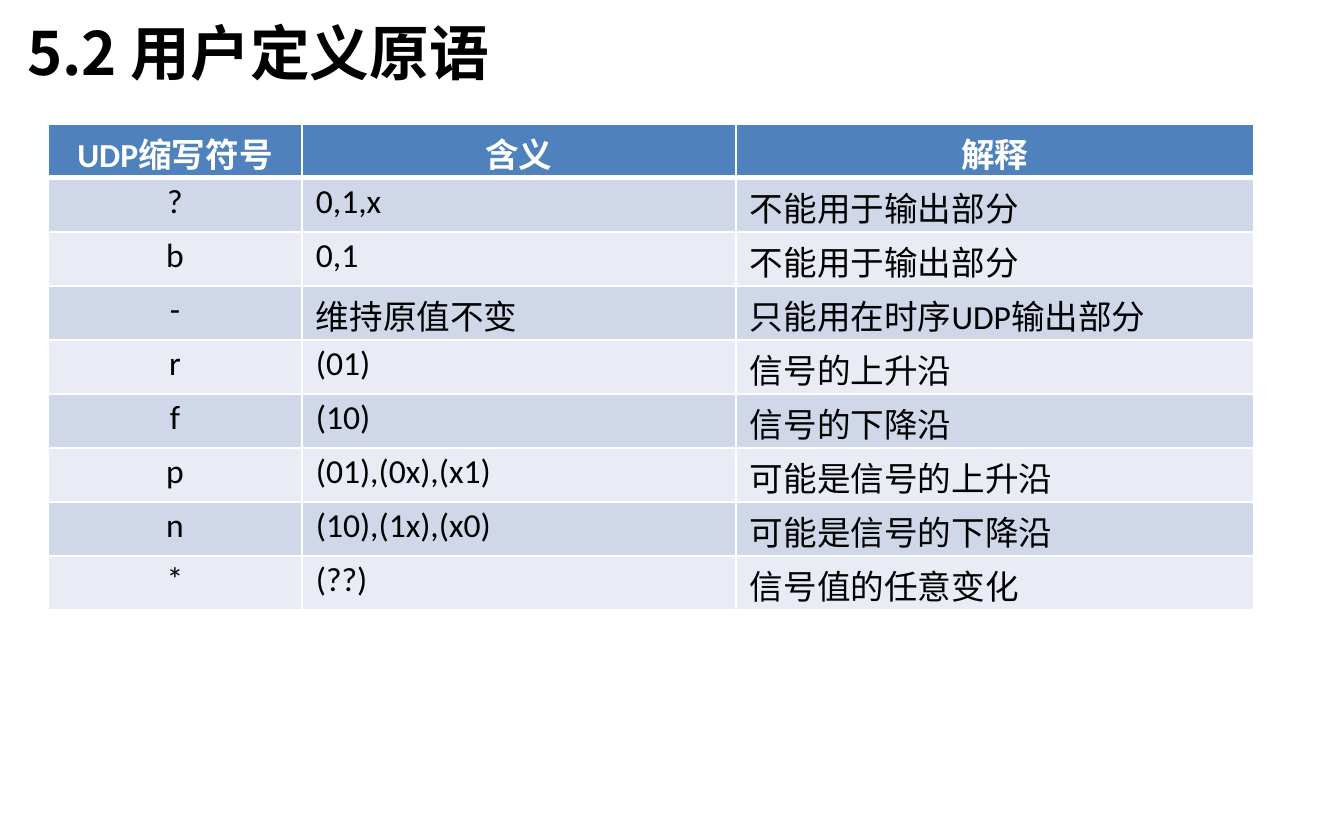
from itertools import groupby
from lxml.etree import SubElement as Sub
from pptx import Presentation
from pptx.dml.color import RGBColor
from pptx.enum.text import MSO_ANCHOR as Anchor, MSO_AUTO_SIZE as Fit, PP_ALIGN as Align
from pptx.oxml import parse_xml
from pptx.oxml.ns import nsdecls, qn
from pptx.util import Emu, Pt

TITLE = "5.2 用户定义原语"
ROWS = [
    ("UDP缩写符号", "含义", "解释"),
    ("?", "0,1,x", "不能用于输出部分"),
    ("b", "0,1", "不能用于输出部分"),
    ("-", "维持原值不变", "只能用在时序UDP输出部分"),
    ("r", "(01)", "信号的上升沿"),
    ("f", "(10)", "信号的下降沿"),
    ("p", "(01),(0x),(x1)", "可能是信号的上升沿"),
    ("n", "(10),(1x),(x0)", "可能是信号的下降沿"),
    ("*", "(??)", "信号值的任意变化"),
]
COLS = [254, 434, 518]
ROW = 54

BLACK = RGBColor(0x00, 0x00, 0x00)
WHITE = RGBColor(0xFF, 0xFF, 0xFF)
BLUE = RGBColor(0x4F, 0x81, 0xBC)
DARK = RGBColor(0xD0, 0xD7, 0xE8)
PALE = RGBColor(0xE9, 0xEC, 0xF4)
LATIN = "Calibri"
HAN = "Noto Sans CJK SC"
SCALE = 914400 / 134.4


def px(n):
    return Emu(round(n * SCALE))


def write(frame, text, size=18, color=BLACK, bold=False, align=Align.LEFT, latin=LATIN):
    para = frame.paragraphs[0]
    para.alignment = align
    para.space_before = Pt(0)
    for ascii, part in groupby(text, str.isascii):
        run = para.add_run()
        run.text = "".join(part)
        font = run.font
        font.name = latin if ascii else HAN
        font.size, font.bold = Pt(size), bold
        font.color.rgb = color
        Sub(run._r.get_or_add_rPr(), qn("a:ea")).set("typeface", HAN)


def edge(cell, **widths):
    props = cell._tc.get_or_add_tcPr()
    for i, side in enumerate("LRTB"):
        width = Pt(widths.get(side, 1))
        props.insert(i, parse_xml(
            f'<a:ln{side} {nsdecls("a")} w="{width}"><a:solidFill>'
            f'<a:srgbClr val="{WHITE}"/></a:solidFill></a:ln{side}>'))


def main():
    deck = Presentation()
    deck.slide_width, deck.slide_height = px(1344), px(840)
    slide = deck.slides.add_slide(deck.slide_layouts[5])

    title = slide.shapes.title
    title.left, title.top, title.width, title.height = map(px, (14, 16, 1174, 86))
    frame = title.text_frame
    frame.auto_size = Fit.NONE
    frame.vertical_anchor = Anchor.TOP
    frame.margin_left = frame.margin_right = px(13)
    frame.margin_top = frame.margin_bottom = 0
    write(frame, TITLE, size=32, bold=True, latin=HAN)

    table = slide.shapes.add_table(
        len(ROWS), len(COLS), px(48), px(124), px(sum(COLS)), px(ROW * len(ROWS))).table
    for col, width in zip(table.columns, COLS):
        col.width = px(width)
    for r, texts in enumerate(ROWS):
        table.rows[r].height = px(ROW)
        head = r == 0
        for c, text in enumerate(texts):
            cell = table.cell(r, c)
            mid = head or c == 0
            cell.margin_left = 0 if mid else px(14)
            cell.margin_right = cell.margin_bottom = 0
            cell.margin_top = px(4 if text.isascii() else 5)
            cell.vertical_anchor = Anchor.TOP
            cell.fill.solid()
            cell.fill.fore_color.rgb = BLUE if head else DARK if r % 2 else PALE
            edge(cell, T=3 if r == 1 else 1, B=3 if head else 1)
            write(cell.text_frame, text, bold=head, color=WHITE if head else BLACK,
                  align=Align.CENTER if mid else Align.LEFT)

    deck.save("out.pptx")


if __name__ == "__main__":
    main()
